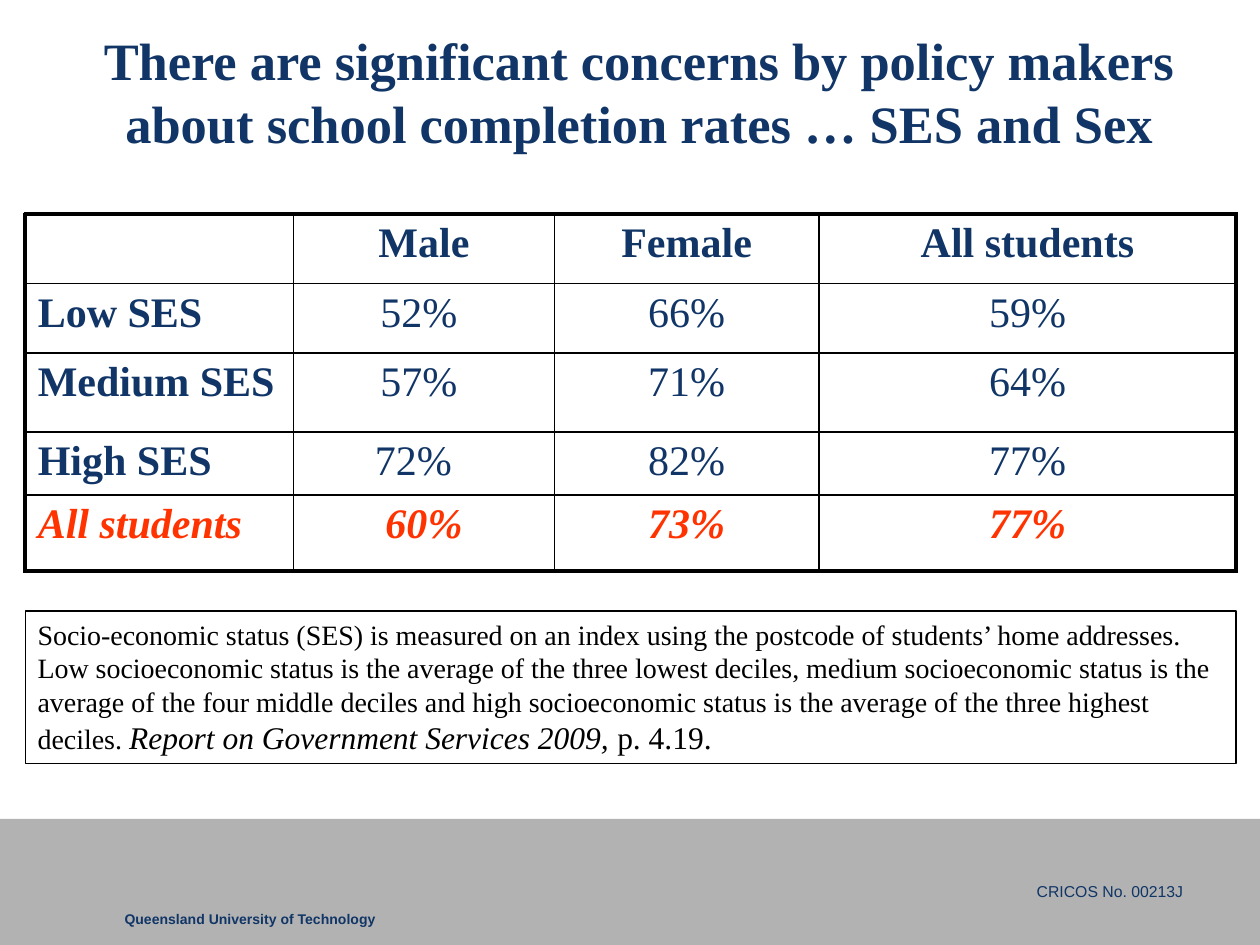
from dataclasses import dataclass

import pptx
import pptx.dml.color
import pptx.enum.shapes
import pptx.enum.text
import pptx.oxml
import pptx.oxml.ns
import pptx.util
from pptx.util import Inches

ALIGN = pptx.enum.text.PP_ALIGN
ANCHOR = pptx.enum.text.MSO_ANCHOR


@dataclass(frozen=True)
class Theme:
    navy: str = "103566"
    red: str = "FF3300"
    black: str = "000000"
    grey: str = "B2B2B2"
    serif: str = "Times New Roman"
    sans: str = "Arial"
    title: int = 30
    table: int = 24
    source: int = 18
    note: int = 16
    cricos: int = 9
    university: int = 8
    thick: float = 2.25
    thin: float = 1


@dataclass(frozen=True)
class TableRow:
    label: str
    values: tuple[str, ...]
    height: float
    male_offset: float = 0  # extra right margin of the Male cell
    bold_values: bool = False
    italic: bool = False
    color: str = Theme.navy


@dataclass(frozen=True)
class FooterLabel:
    text: str
    left: float
    top: float
    width: float
    height: float
    size: int
    bold: bool = False


THEME = Theme()
COLUMN_WIDTHS = (2.13, 2.07, 2.1, 3.31)
ROWS = (
    TableRow("", ("Male", "Female", "All students"), 0.55, bold_values=True),
    TableRow("Low SES", ("52%", "66%", "59%"), 0.55, male_offset=0.08),
    TableRow("Medium SES", ("57%", "71%", "64%"), 0.63, male_offset=0.08),
    TableRow("High SES", ("72%", "82%", "77%"), 0.47, male_offset=0.17),
    TableRow("All students", ("60%", "73%", "77%"), 0.6,
             bold_values=True, italic=True, color=THEME.red),
)
FOOTER_LABELS = (
    FooterLabel("Queensland University of Technology", 0.89, 7.18, 2.2, 0.23,
                THEME.university, bold=True),
    FooterLabel("CRICOS No. 00213J", 8.13, 6.95, 1.36, 0.25, THEME.cricos),
)


def rgb(color: str) -> pptx.dml.color.RGBColor:
    return pptx.dml.color.RGBColor.from_string(color)


def add_text(para, text: str, *, size: int, color: str = THEME.navy,
             font: str = THEME.serif, bold: bool = False, italic: bool = False,
             align=ALIGN.LEFT) -> None:
    para.alignment = align
    span = para.add_run()
    span.text = text
    span.font.name = font
    span.font.size = pptx.util.Pt(size)
    span.font.bold = bold
    span.font.italic = italic
    span.font.color.rgb = rgb(color)


def add_title(page) -> None:
    title = page.shapes.title
    title.left, title.top = Inches(0.35), Inches(0.13)
    title.width, title.height = Inches(9.45), Inches(1.18)
    frame = title.text_frame
    frame.word_wrap = True
    frame.auto_size = pptx.enum.text.MSO_AUTO_SIZE.NONE
    frame.vertical_anchor = ANCHOR.MIDDLE
    add_text(frame.paragraphs[0],
             "There are significant concerns by policy makers about school "
             "completion rates … SES and Sex",
             size=THEME.title, bold=True, align=ALIGN.CENTER)


def add_footer(page) -> None:
    band = page.shapes.add_shape(
        pptx.enum.shapes.MSO_SHAPE.RECTANGLE,
        Inches(0), Inches(6.5), Inches(10), Inches(1))
    band.shadow.inherit = False
    band.fill.solid()
    band.fill.fore_color.rgb = rgb(THEME.grey)
    band.line.fill.background()
    for label in FOOTER_LABELS:
        box = page.shapes.add_textbox(
            Inches(label.left), Inches(label.top),
            Inches(label.width), Inches(label.height))
        box.text_frame.word_wrap = False
        add_text(box.text_frame.paragraphs[0], label.text, size=label.size,
                 font=THEME.sans, bold=label.bold)


def set_borders(cell, row: int, column: int) -> None:
    """Draw thick lines on the table's outer edge and thin ones inside."""
    outer = {
        "lnL": column == 0,
        "lnR": column == len(COLUMN_WIDTHS) - 1,
        "lnT": row == 0,
        "lnB": row == len(ROWS) - 1,
    }
    properties = cell._tc.get_or_add_tcPr()
    for tag, is_outer in outer.items():
        width = pptx.util.Pt(THEME.thick if is_outer else THEME.thin)
        properties.append(pptx.oxml.parse_xml(
            f'<a:{tag} {pptx.oxml.ns.nsdecls("a")} w="{int(width)}"><a:solidFill>'
            f'<a:srgbClr val="{THEME.black}"/></a:solidFill></a:{tag}>'))


def add_completion_table(page) -> None:
    table = page.shapes.add_table(
        len(ROWS), len(COLUMN_WIDTHS), Inches(0.2), Inches(1.7),
        Inches(sum(COLUMN_WIDTHS)), Inches(sum(row.height for row in ROWS))).table
    table.first_row = False
    table.horz_banding = False
    for column, width in zip(table.columns, COLUMN_WIDTHS):
        column.width = Inches(width)
    for r, row in enumerate(ROWS):
        table.rows[r].height = Inches(row.height)
        for c, text in enumerate((row.label, *row.values)):
            cell = table.cell(r, c)
            set_borders(cell, r, c)
            cell.fill.background()
            if c == 1:
                cell.margin_right = Inches(0.1 + row.male_offset)
            if text:
                add_text(cell.text_frame.paragraphs[0], text, size=THEME.table,
                         color=row.color, bold=c == 0 or row.bold_values,
                         italic=row.italic,
                         align=ALIGN.CENTER if c else ALIGN.LEFT)


def add_note(page) -> None:
    box = page.shapes.add_shape(
        pptx.enum.shapes.MSO_SHAPE.RECTANGLE,
        Inches(0.2), Inches(4.85), Inches(9.61), Inches(1.21))
    box.shadow.inherit = False
    box.fill.background()
    box.line.color.rgb = rgb(THEME.black)
    box.line.width = pptx.util.Pt(0.75)
    box.text_frame.word_wrap = True
    box.text_frame.vertical_anchor = ANCHOR.TOP
    para = box.text_frame.paragraphs[0]
    add_text(para,
             "Socio-economic status (SES) is measured on an index using the "
             "postcode of students’ home addresses. Low socioeconomic status is "
             "the average of the three lowest deciles, medium socioeconomic "
             "status is the average of the four middle deciles and high "
             "socioeconomic status is the average of the three highest deciles. ",
             size=THEME.note, color=THEME.black)
    add_text(para, "Report on Government Services 2009, ",
             size=THEME.source, color=THEME.black, italic=True)
    add_text(para, "p. 4.19.", size=THEME.source, color=THEME.black)


def main() -> None:
    deck = pptx.Presentation()
    deck.slide_width, deck.slide_height = Inches(10), Inches(7.5)
    page = deck.slides.add_slide(deck.slide_layouts.get_by_name("Title Only"))
    add_footer(page)
    add_title(page)
    add_completion_table(page)
    add_note(page)
    deck.save("out.pptx")


if __name__ == "__main__":
    main()
